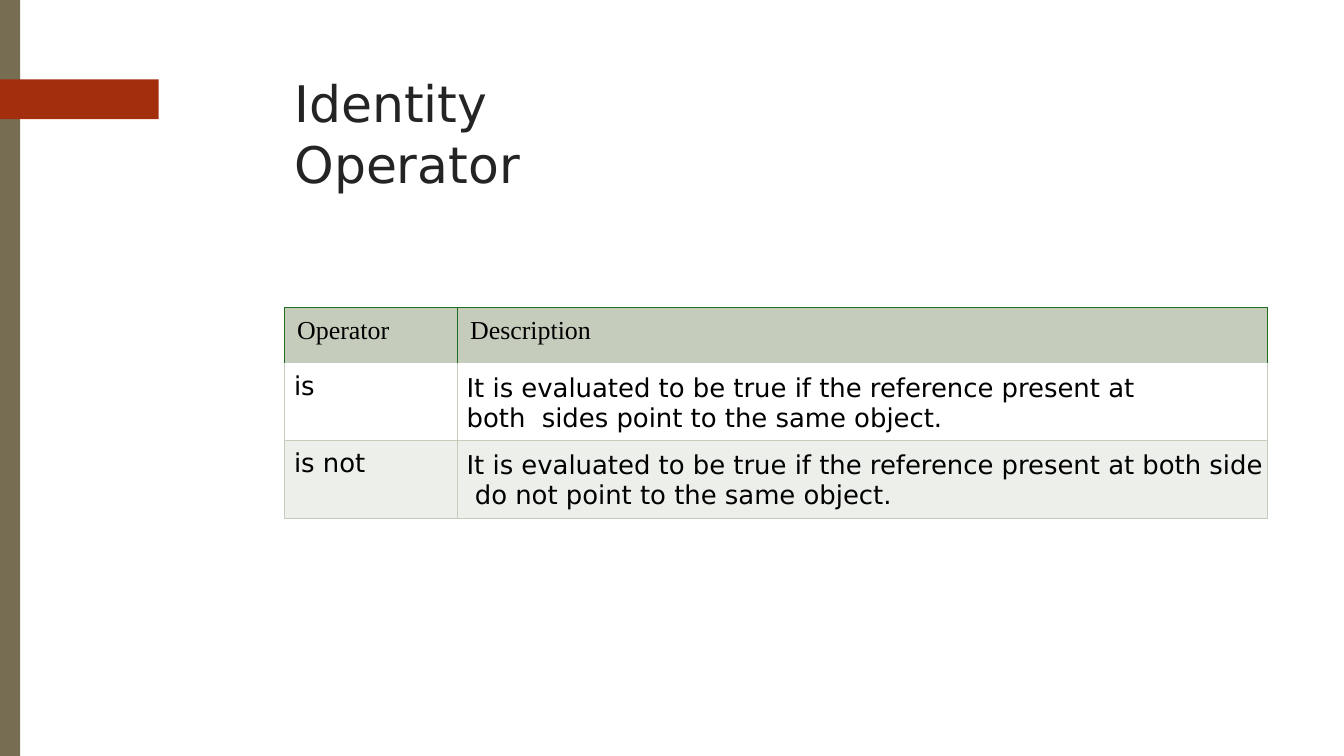
"""Build a slide that explains the Python identity operators in a table."""
import pptx
import pptx.dml.color
import pptx.enum.shapes
import pptx.enum.text
import pptx.oxml
import pptx.oxml.ns
import pptx.util
from pptx.dml.color import RGBColor
from pptx.util import Cm, Pt

OLIVE = RGBColor(0x76, 0x6D, 0x52)
RUST = RGBColor(0xA3, 0x2E, 0x0E)
CHARCOAL = RGBColor(0x24, 0x24, 0x24)
BLACK = RGBColor(0, 0, 0)
WHITE = RGBColor(0xFF, 0xFF, 0xFF)
SAGE = RGBColor(0xC5, 0xCC, 0xBC)
PALE_SAGE = RGBColor(0xED, 0xEF, 0xEB)
GREEN = RGBColor(0x1F, 0x6E, 0x21)

SANS = "DejaVu Sans"
SERIF = "Times New Roman"

TITLE = "Identity Operator"
COLUMN_WIDTHS = (4.35, 20.42)
ROWS = (
    {"texts": ("Operator", "Description"), "height": 1.42, "fill": SAGE,
     "font": SERIF, "border": GREEN, "sides": "LRT",
     "lefts": (0.31, 0.32), "tops": (0.23, 0.23), "right": 0},
    {"texts": ("is", "It is evaluated to be true if the reference present at both  sides "
                     "point to the same object."),
     "height": 1.93, "fill": WHITE, "font": SANS, "border": SAGE, "sides": "LRB",
     "lefts": (0.23, 0.23), "tops": (0.19, 0.23), "right": 2},
    {"texts": ("is not", "It is evaluated to be true if the reference present at both side  do "
                         "not point to the same object."),
     "height": 1.96, "fill": PALE_SAGE, "font": SANS, "border": SAGE, "sides": "LRTB",
     "lefts": (0.23, 0.23), "tops": (0.2, 0.25), "right": 0},
)
ARROW_POINTS = ((0, 1.98), (3.73, 1.98), (3.78, 2.01), (4.42, 2.64), (4.42, 2.72),
                (3.76, 3.36), (3.73, 3.38), (0, 3.38))


def paint(shape, color):
    shape.fill.solid()
    shape.fill.fore_color.rgb = color
    shape.line.fill.background()
    shape.shadow.inherit = False


def set_borders(cell, color, sides):
    properties = cell._tc.get_or_add_tcPr()
    for position, side in enumerate(side for side in "LRTB" if side in sides):
        line = pptx.oxml.parse_xml(
            f'<a:ln{side} {pptx.oxml.ns.nsdecls("a")} w="9525"><a:solidFill>'
            f'<a:srgbClr val="{color}"/></a:solidFill></a:ln{side}>')
        properties.insert(position, line)


def add_decoration(slide, slide_height):
    bar = slide.shapes.add_shape(
        pptx.enum.shapes.MSO_SHAPE.RECTANGLE, 0, 0, Cm(0.51), slide_height)
    paint(bar, OLIVE)
    start, *others = ARROW_POINTS
    builder = slide.shapes.build_freeform(*start, scale=Cm(1))
    builder.add_line_segments(others, close=True)
    paint(builder.convert_to_shape(), RUST)


def add_title(slide):
    box = slide.shapes.add_textbox(Cm(7.42), Cm(1.8), Cm(10.59), Cm(1.6))
    frame = box.text_frame
    frame.word_wrap = True
    frame.margin_left = frame.margin_right = frame.margin_bottom = 0
    frame.margin_top = Cm(0.03)
    paragraph = frame.paragraphs[0]
    paragraph.text = TITLE
    paragraph.font.name = SANS
    paragraph.font.size = Pt(36)
    paragraph.font.color.rgb = CHARCOAL


def fill_cell(cell, row, index):
    cell.fill.solid()
    cell.fill.fore_color.rgb = row["fill"]
    set_borders(cell, row["border"], row["sides"])
    cell.margin_left = Cm(row["lefts"][index])
    cell.margin_top = Cm(row["tops"][index])
    cell.margin_right = Cm(row["right"] if index else 0)
    cell.margin_bottom = 0
    paragraph = cell.text_frame.paragraphs[0]
    paragraph.text = row["texts"][index]
    paragraph.font.name = row["font"]
    paragraph.font.size = Pt(18.5)
    paragraph.font.bold = False
    paragraph.font.color.rgb = BLACK
    if index and row["font"] == SANS:
        paragraph.line_spacing = Pt(21.6)


def add_operator_table(slide):
    table = slide.shapes.add_table(
        len(ROWS), len(COLUMN_WIDTHS), Cm(7.18), Cm(7.75), Cm(sum(COLUMN_WIDTHS)),
        Cm(sum(row["height"] for row in ROWS))).table
    table.horz_banding = False
    for column, width in zip(table.columns, COLUMN_WIDTHS):
        column.width = Cm(width)
    for row_index, row in enumerate(ROWS):
        table.rows[row_index].height = Cm(row["height"])
        for column_index in range(len(COLUMN_WIDTHS)):
            fill_cell(table.cell(row_index, column_index), row, column_index)


def main():
    presentation = pptx.Presentation()
    presentation.slide_width = Cm(33.87)
    presentation.slide_height = Cm(19.05)
    slide = presentation.slides.add_slide(presentation.slide_layouts[6])
    add_decoration(slide, presentation.slide_height)
    add_title(slide)
    add_operator_table(slide)
    presentation.save("out.pptx")


if __name__ == "__main__":
    main()
